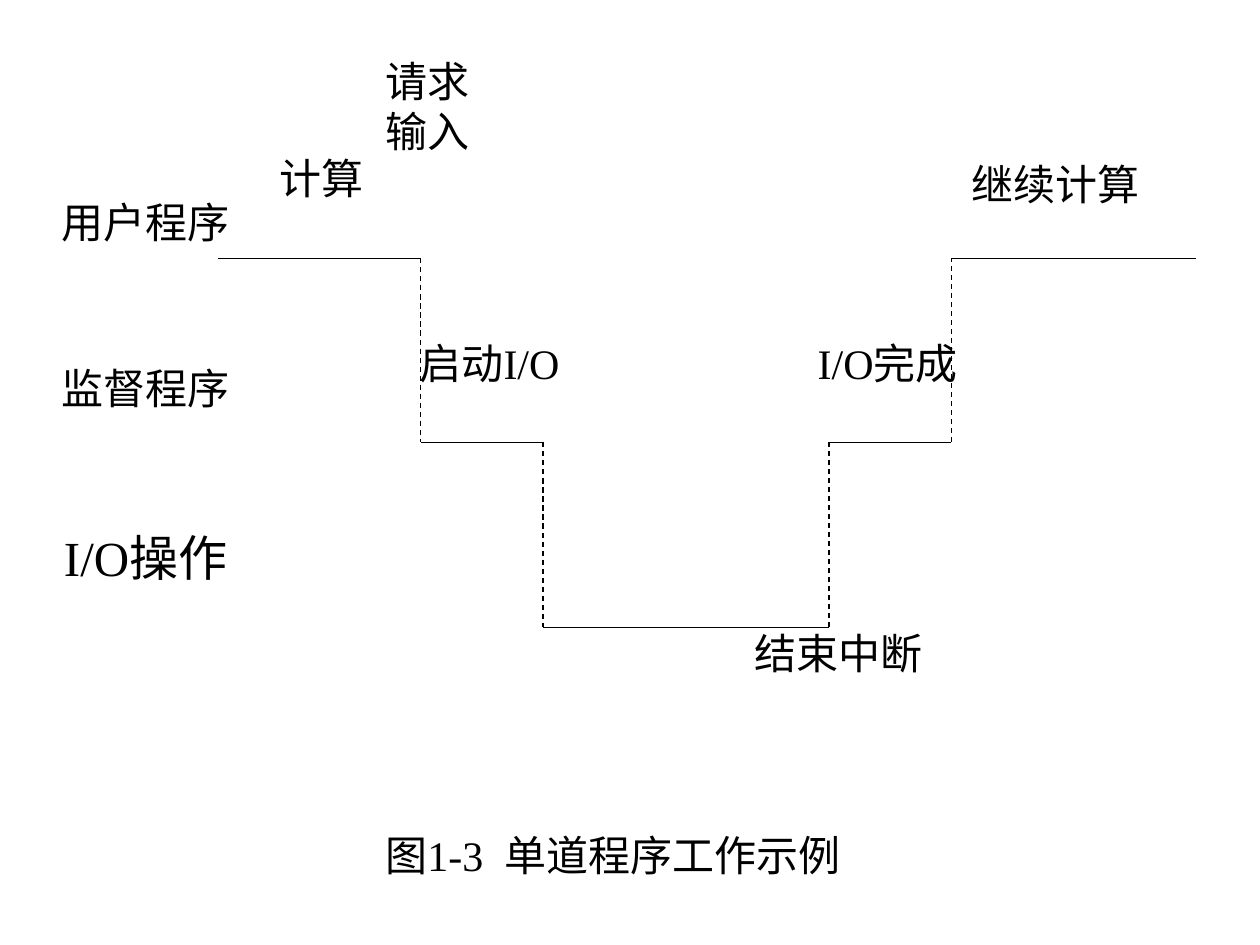
from pptx import Presentation
from pptx.util import Inches, Pt
from pptx.dml.color import RGBColor
from pptx.enum.dml import MSO_LINE
from pptx.enum.shapes import MSO_CONNECTOR
from pptx.enum.text import MSO_ANCHOR, PP_ALIGN
from pptx.oxml.ns import qn
from lxml import etree

BLACK = RGBColor(0x00, 0x00, 0x00)
FONT = "Times New Roman"

prs = Presentation()
prs.slide_width, prs.slide_height = Inches(10), Inches(7.5)
s = prs.slides.add_slide(prs.slide_layouts[6])


def add_run(p, text, size=24):
    r = p.add_run()
    r.text = text
    r.font.name = FONT
    r.font.size = Pt(size)
    r.font.color.rgb = BLACK
    return r


def add_box(left, top, width, height, **frame):
    tf = s.shapes.add_textbox(*map(Inches, (left, top, width, height))).text_frame
    for name, value in frame.items():
        setattr(tf, name, value)
    tf.paragraphs[0].alignment = PP_ALIGN.CENTER
    return tf


# Timeline: one continuous path, solid when level and dashed when dropping or rising
USER, MONITOR, IO = 2.05, 3.51, 4.98
path_points = [
    (1.73, USER), (3.34, USER), (3.34, MONITOR), (4.31, MONITOR), (4.31, IO),
    (6.58, IO), (6.58, MONITOR), (7.55, MONITOR), (7.55, USER), (9.49, USER),
]
for (x1, y1), (x2, y2) in zip(path_points, path_points[1:]):
    line = s.shapes.add_connector(
        MSO_CONNECTOR.STRAIGHT, Inches(x1), Inches(y1), Inches(x2), Inches(y2))
    line.line.color.rgb = BLACK
    line.line.width = Pt(0.75)
    if x1 == x2:
        line.line.dash_style = MSO_LINE.DASH
    etree.SubElement(line._element.spPr, qn("a:effectLst"))

# Labels: lines of text, left, top, height, size
labels = [
    (["用户程序"], 0.43, 1.56, 1.06, 24),
    (["监督程序"], 0.43, 2.88, 0.98, 24),
    (["I/O操作"], 0.43, 4.19, 0.98, 28),
    (["计算"], 1.83, 1.21, 1.06, 24),
    (["请求", "输入"], 2.67, 0.44, 1.57, 24),
    (["启动I/O"], 3.16, 2.68, 0.98, 24),
    (["I/O完成"], 6.32, 2.68, 0.98, 24),
    (["继续计算"], 7.65, 1.26, 0.98, 24),
    (["结束中断"], 5.93, 4.98, 0.98, 24),
]
label_frame = {
    "word_wrap": True, "vertical_anchor": MSO_ANCHOR.TOP,
    "margin_left": Inches(0.02), "margin_right": Inches(0.02),
    "margin_top": 0, "margin_bottom": 0,
}
for lines, left, top, height, size in labels:
    tf = add_box(left, top, 1.45, height, **label_frame)
    for i, text in enumerate(lines):
        p = tf.add_paragraph() if i else tf.paragraphs[0]
        p.alignment = PP_ALIGN.CENTER
        add_run(p, text, size)

# Caption, with the space after the figure number widened by letter spacing
tf = add_box(2.88, 6.19, 3.97, 0.84, word_wrap=False, vertical_anchor=MSO_ANCHOR.BOTTOM)
p = tf.paragraphs[0]
add_run(p, "图1-3")
gap = add_run(p, " ")
gap.font._element.set("spc", "600")
add_run(p, "单道程序工作示例")

prs.save("out.pptx")
